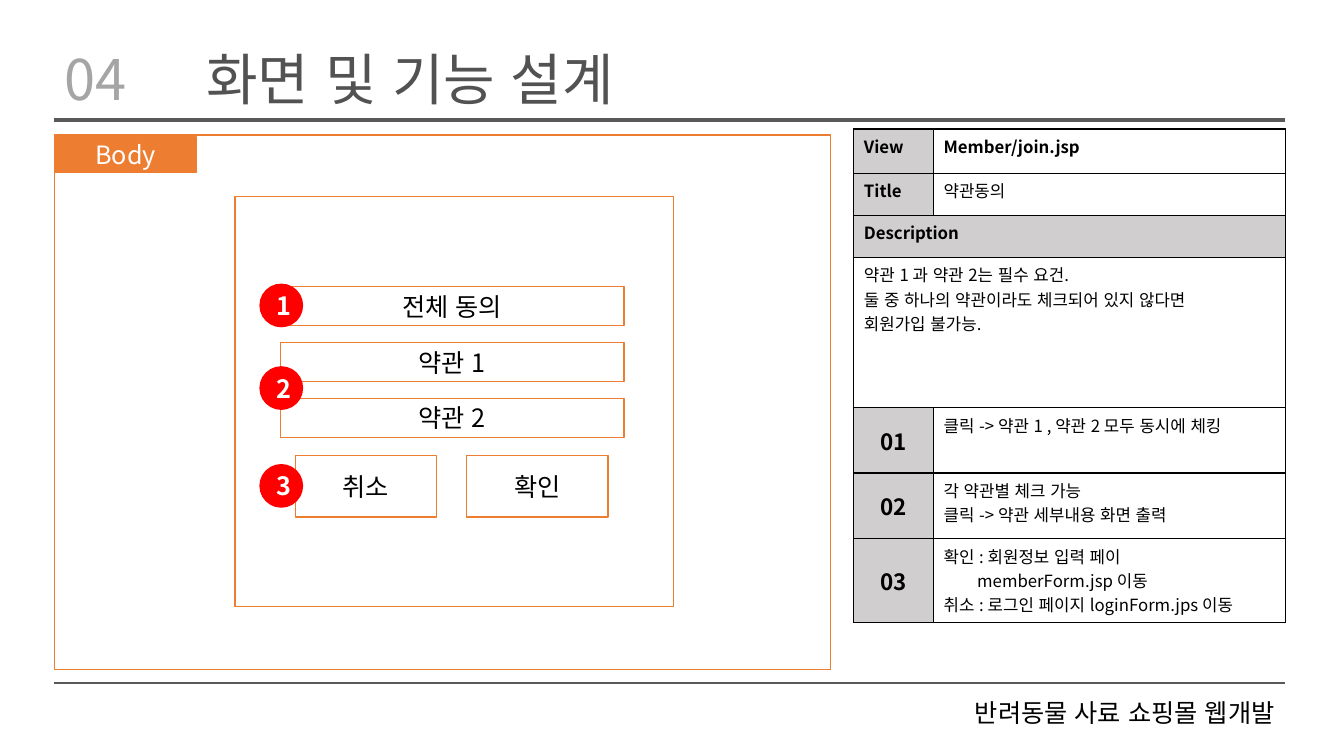
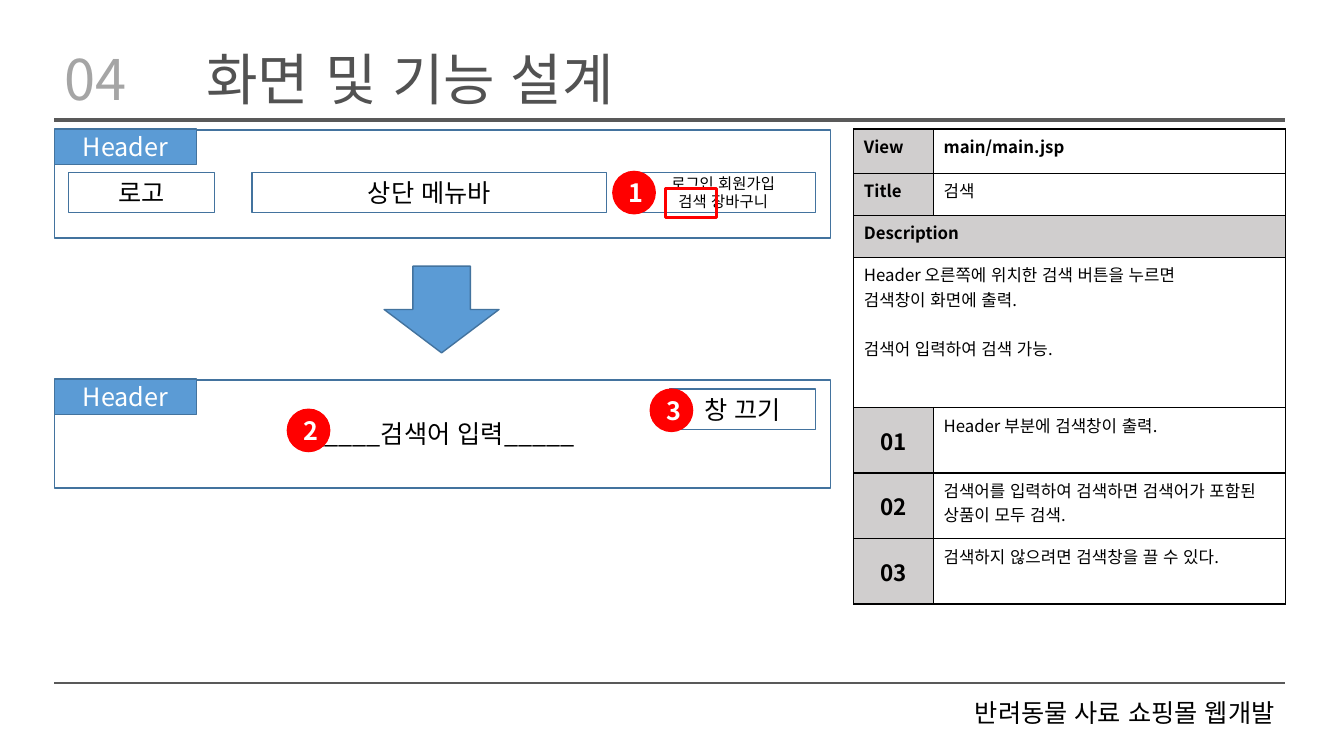
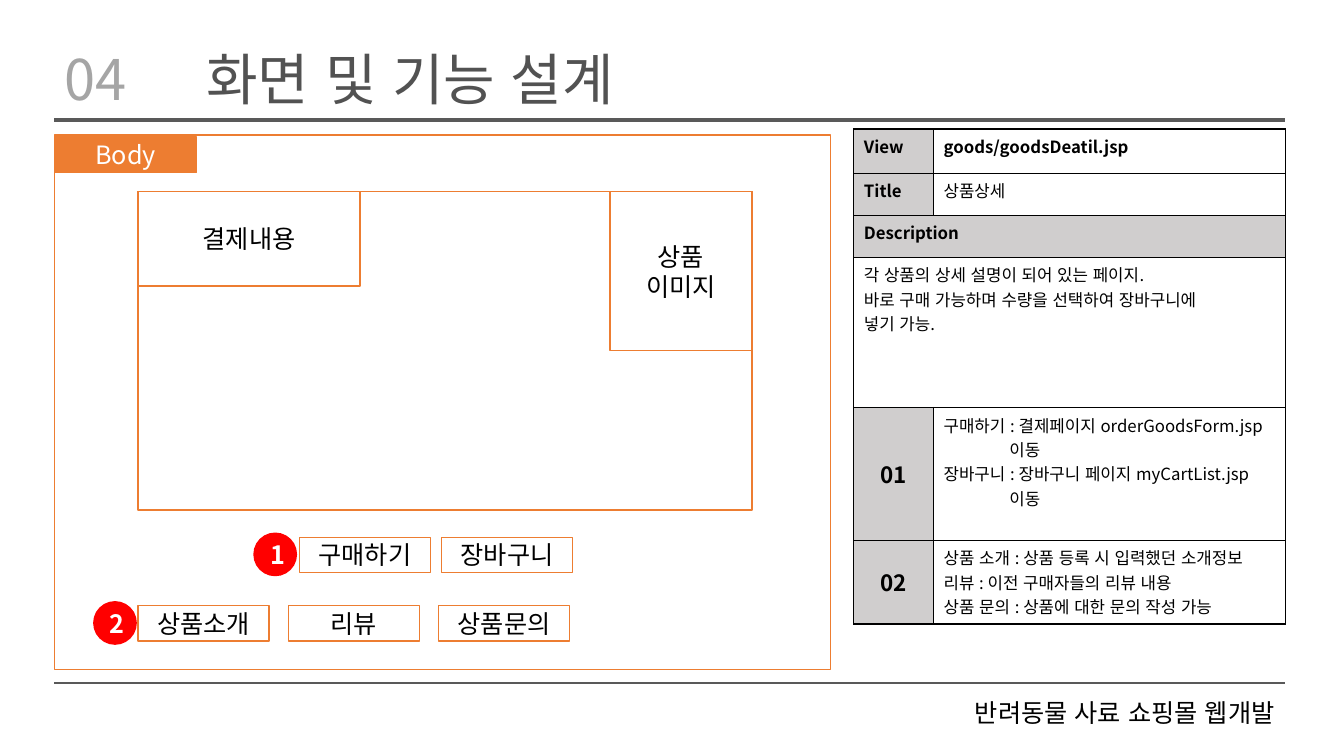
from dataclasses import dataclass

from lxml import etree
from pptx import Presentation
from pptx import util as u
from pptx.dml.color import RGBColor
from pptx.enum import lang, shapes, text
from pptx.oxml import ns

SLIDE_WIDTH, SLIDE_HEIGHT = u.Inches(13.33), u.Inches(7.5)
LEFT, RIGHT = 4.05, 95.63
SECTION_WIDTH = 57.75
TAG_SIZE = (10.58, 4.67)
BADGE_SIZE = (3.15, 5.6)
TABLE_LEFT, TABLE_TOP = 63.53, 17.07
TABLE_COLUMNS = (5.93, 26.18)
HEADING_ROWS = (5.87, 5.55, 5.55, 19.87)
STEP_ROW = 8.67
STEP_LINE, STEP_PADDING = 3.23, 1.4


@dataclass(frozen=True)
class Theme:
    font: str = "Noto Sans CJK KR"
    black: str = "000000"
    white: str = "FFFFFF"
    rule: str = "595959"
    number: str = "A5A5A5"
    title: str = "525252"
    label: str = "D0CECE"
    orange: str = "ED7D31"
    blue: str = "5B9BD5"
    blue_line: str = "43739E"
    red: str = "FF0000"
    title_size: int = 40
    body_size: int = 18
    step_size: int = 16
    table_size: int = 12
    small_size: int = 11


THEME = Theme()


@dataclass(frozen=True)
class Line:
    text: str
    indent: float = 0
    space_before: float = 0
    line_count: int = 1


def columns(count):
    return round(SLIDE_WIDTH * count / 100)


def rows(count):
    return round(SLIDE_HEIGHT * count / 100)


def place(left, top, width, height):
    return columns(left), rows(top), columns(width), rows(height)


def color(value):
    return RGBColor.from_string(value)


def style_paragraph(paragraph, size, ink=THEME.black, bold=False, align=None, spacing=None):
    paragraph.alignment = align
    if spacing:
        paragraph.line_spacing = spacing
    for run in paragraph.runs:
        run.font.name = THEME.font
        run.font.size = u.Pt(size)
        run.font.bold = bold
        run.font.language_id = lang.MSO_LANGUAGE_ID.KOREAN
        run.font.color.rgb = color(ink)
        east_asian = etree.SubElement(run.font._element, ns.qn("a:ea"))
        east_asian.set("typeface", THEME.font)


def add_rule(slide, top, weight):
    rule = slide.shapes.add_connector(
        shapes.MSO_CONNECTOR.STRAIGHT, columns(LEFT), rows(top), columns(RIGHT), rows(top))
    rule.line.color.rgb = color(THEME.rule)
    rule.line.width = u.Pt(weight)
    etree.SubElement(rule._element.spPr, ns.qn("a:effectLst"))


def add_title_text(slide, area, content, ink):
    frame = slide.shapes.add_textbox(*place(*area)).text_frame
    frame.word_wrap = True
    frame.vertical_anchor = text.MSO_ANCHOR.MIDDLE
    frame.text = content
    style_paragraph(frame.paragraphs[0], THEME.title_size, ink, spacing=0.9)


def add_box(slide, area, content="", line=THEME.orange, fill=None, ink=THEME.black,
            size=THEME.body_size, bold=False, weight=1, kind=shapes.MSO_SHAPE.RECTANGLE):
    shape = slide.shapes.add_shape(kind, *place(*area))
    shape.shadow.inherit = False
    if fill:
        shape.fill.solid()
        shape.fill.fore_color.rgb = color(fill)
    else:
        shape.fill.background()
    shape.line.color.rgb = color(line)
    shape.line.width = u.Pt(weight)
    if content:
        frame = shape.text_frame
        frame.text = content
        frame.vertical_anchor = text.MSO_ANCHOR.MIDDLE
        for paragraph in frame.paragraphs:
            style_paragraph(paragraph, size, ink, bold, text.PP_ALIGN.CENTER)


def add_button_row(slide, labels, left, top, pitch, width, height):
    for index, label in enumerate(labels):
        add_box(slide, (left + index * pitch, top, width, height), label)


def add_badge(slide, number, left, top):
    add_box(slide, (left, top, *BADGE_SIZE), str(number), THEME.red, THEME.red,
            THEME.white, bold=True, kind=shapes.MSO_SHAPE.OVAL)


def add_section(slide, label, top, height, tag_top, line, fill, content=""):
    add_box(slide, (LEFT, top, SECTION_WIDTH, height), content, line)
    add_box(slide, (LEFT, tag_top, *TAG_SIZE), label, line, fill, THEME.white)


def add_body(slide):
    add_section(slide, "Body", 17.87, 70.67, 18.13, THEME.orange, THEME.orange)


def add_header(slide, top, content=""):
    add_section(slide, "Header", top, 14.27, top - 0.13, THEME.blue_line, THEME.blue, content)


def add_borders(cell):
    properties = cell._tc.get_or_add_tcPr()
    for side in ("lnL", "lnR", "lnT", "lnB"):
        border = etree.SubElement(properties, ns.qn(f"a:{side}"), w=str(u.Pt(1)))
        solid = etree.SubElement(border, ns.qn("a:solidFill"))
        etree.SubElement(solid, ns.qn("a:srgbClr"), val=THEME.black)


def fill_cell(cell, lines=(), fill=THEME.white, bold=False, size=THEME.table_size, align=None):
    add_borders(cell)
    cell.fill.solid()
    cell.fill.fore_color.rgb = color(fill)
    cell.text = "\n".join(line.text for line in lines)
    for paragraph, line in zip(cell.text_frame.paragraphs, lines):
        if line.indent:
            paragraph._p.get_or_add_pPr().set("marL", str(columns(line.indent)))
        if line.space_before:
            paragraph.space_before = u.Pt(line.space_before)
        style_paragraph(paragraph, size, bold=bold, align=align)


def step_height(lines):
    line_count = sum(line.line_count for line in lines)
    return max(STEP_ROW, STEP_PADDING + line_count * STEP_LINE)


def add_description_table(slide, view, title, description, steps):
    heights = HEADING_ROWS + tuple(step_height(lines) for lines in steps)
    area = place(TABLE_LEFT, TABLE_TOP, sum(TABLE_COLUMNS), sum(heights))
    table = slide.shapes.add_table(len(heights), len(TABLE_COLUMNS), *area).table
    table.first_row = table.horz_banding = False
    for column, width in zip(table.columns, TABLE_COLUMNS):
        column.width = columns(width)
    for row, height in zip(table.rows, heights):
        row.height = rows(height)
    for index in (2, 3):
        table.cell(index, 0).merge(table.cell(index, 1))

    for index, (label, value) in enumerate((("View", view), ("Title", title))):
        fill_cell(table.cell(index, 0), [Line(label)], THEME.label, True)
        fill_cell(table.cell(index, 1), [Line(value)], bold=label == "View")
    fill_cell(table.cell(2, 0), [Line("Description")], THEME.label, True)
    fill_cell(table.cell(2, 1), fill=THEME.label)
    fill_cell(table.cell(3, 0), description)
    fill_cell(table.cell(3, 1))

    for number, lines in enumerate(steps, 1):
        row = len(HEADING_ROWS) + number - 1
        label = table.cell(row, 0)
        fill_cell(label, [Line(f"{number:02}")], THEME.label, True,
                  THEME.step_size, text.PP_ALIGN.CENTER)
        label.vertical_anchor = text.MSO_ANCHOR.MIDDLE
        fill_cell(table.cell(row, 1), lines)


def add_base_slide(presentation):
    slide = presentation.slides.add_slide(presentation.slide_layouts[6])
    add_rule(slide, 15.87, 2.25)
    add_rule(slide, 90.4, 1.5)
    footer = slide.shapes.add_textbox(*place(57.98, 92.4, 37.58, 4.93))
    footer.fill.solid()
    footer.fill.fore_color.rgb = color(THEME.white)
    footer.text_frame.word_wrap = True
    footer.text_frame.text = "반려동물 사료 쇼핑몰 웹개발"
    style_paragraph(footer.text_frame.paragraphs[0], THEME.body_size,
                    align=text.PP_ALIGN.RIGHT, spacing=0.8)
    add_title_text(slide, (LEFT, 6.5, 6.3, 8.8), "04", THEME.number)
    add_title_text(slide, (14.63, 6.5, 81, 8.8), "화면 및 기능 설계", THEME.title)
    return slide


def add_terms_slide(presentation):
    slide = add_base_slide(presentation)
    add_description_table(
        slide, "Member/join.jsp", "약관동의",
        [Line("약관 1 과 약관 2는 필수 요건."),
         Line("둘 중 하나의 약관이라도 체크되어 있지 않다면"),
         Line("회원가입 불가능.")],
        [[Line("클릭 -> 약관 1 , 약관 2 모두 동시에 체킹")],
         [Line("각 약관별 체크 가능"), Line("클릭 -> 약관 세부내용 화면 출력")],
         [Line("확인 : 회원정보 입력 페이"), Line("memberForm.jsp 이동", indent=2.5),
          Line("취소 : 로그인 페이지 loginForm.jps 이동")]])
    add_body(slide)
    add_box(slide, (17.48, 26, 32.63, 54.27))
    for index, label in enumerate(("전체 동의", "약관 1", "약관 2")):
        add_box(slide, (20.85, 37.87 + index * 7.4, 25.58, 5.2), label)
    add_button_row(slide, ("취소", "확인"), 21.98, 60.27, 12.75, 10.5, 8.13)
    for number, top in enumerate((37.6, 48.53, 61.47), 1):
        add_badge(slide, number, 19.35, top)


def add_search_slide(presentation):
    slide = add_base_slide(presentation)
    add_description_table(
        slide, "main/main.jsp", "검색",
        [Line("Header 오른쪽에 위치한 검색 버튼을 누르면"),
         Line("검색창이 화면에 출력."),
         Line("검색어 입력하여 검색 가능.", space_before=17.5)],
        [[Line("Header 부분에 검색창이 출력.")],
         [Line("검색어를 입력하여 검색하면 검색어가 포함된 상품이 모두 검색.", line_count=2)],
         [Line("검색하지 않으려면 검색창을 끌 수 있다.")]])
    add_header(slide, 17.2)
    for label, left, width, size in (
            ("로그인 회원가입\n검색 장바구니", 46.95, 13.73, THEME.small_size),
            ("상단 메뉴바", 18.75, 26.4, THEME.body_size),
            ("로고", 5.1, 10.88, THEME.body_size)):
        add_box(slide, (left, 22.8, width, 5.33), label, THEME.blue_line, size=size)
    add_header(slide, 50.27, "_____검색어 입력_____")
    add_box(slide, (28.58, 35.2, 8.55, 11.47), line=THEME.blue_line, fill=THEME.blue,
            kind=shapes.MSO_SHAPE.DOWN_ARROW)
    add_box(slide, (49.8, 51.47, 10.88, 5.33), "창 끄기", THEME.blue_line)
    add_badge(slide, 1, 45.6, 22.67)
    add_box(slide, (49.5, 24.93, 3.83, 3.87), line=THEME.red, weight=2.25)
    add_badge(slide, 2, 21.38, 54.13)
    add_badge(slide, 3, 48.38, 51.47)


def add_product_slide(presentation):
    slide = add_base_slide(presentation)
    add_description_table(
        slide, "goods/goodsDeatil.jsp", "상품상세",
        [Line("각 상품의 상세 설명이 되어 있는 페이지."),
         Line("바로 구매 가능하며 수량을 선택하여 장바구니에"),
         Line("넣기 가능.")],
        [[Line("구매하기 : 결제페이지 orderGoodsForm.jsp", line_count=2),
          Line("이동", indent=4.9),
          Line("장바구니 : 장바구니 페이지 myCartList.jsp"),
          Line("이동", indent=4.9)],
         [Line("상품 소개 : 상품 등록 시 입력했던 소개정보"),
          Line("리뷰 : 이전 구매자들의 리뷰 내용"),
          Line("상품 문의 : 상품에 대한 문의 작성 가능")]])
    add_body(slide)
    add_box(slide, (45.38, 25.33, 10.58, 21.07), "상품\n이미지", fill=THEME.white)
    add_box(slide, (10.28, 25.33, 45.68, 42.13))
    add_box(slide, (10.28, 25.33, 16.5, 12.53), "결제내용", fill=THEME.white)
    add_button_row(slide, ("구매하기", "장바구니"), 22.28, 71.07, 10.58, 9.75, 4.67)
    add_button_row(slide, ("상품소개", "리뷰", "상품문의"), 10.28, 80.13, 11.18, 9.75, 4.67)
    add_badge(slide, 1, 18.9, 70.53)
    add_badge(slide, 2, 6.98, 79.6)


def main():
    presentation = Presentation()
    presentation.slide_width, presentation.slide_height = SLIDE_WIDTH, SLIDE_HEIGHT
    add_terms_slide(presentation)
    add_search_slide(presentation)
    add_product_slide(presentation)
    presentation.save("out.pptx")


if __name__ == "__main__":
    main()
